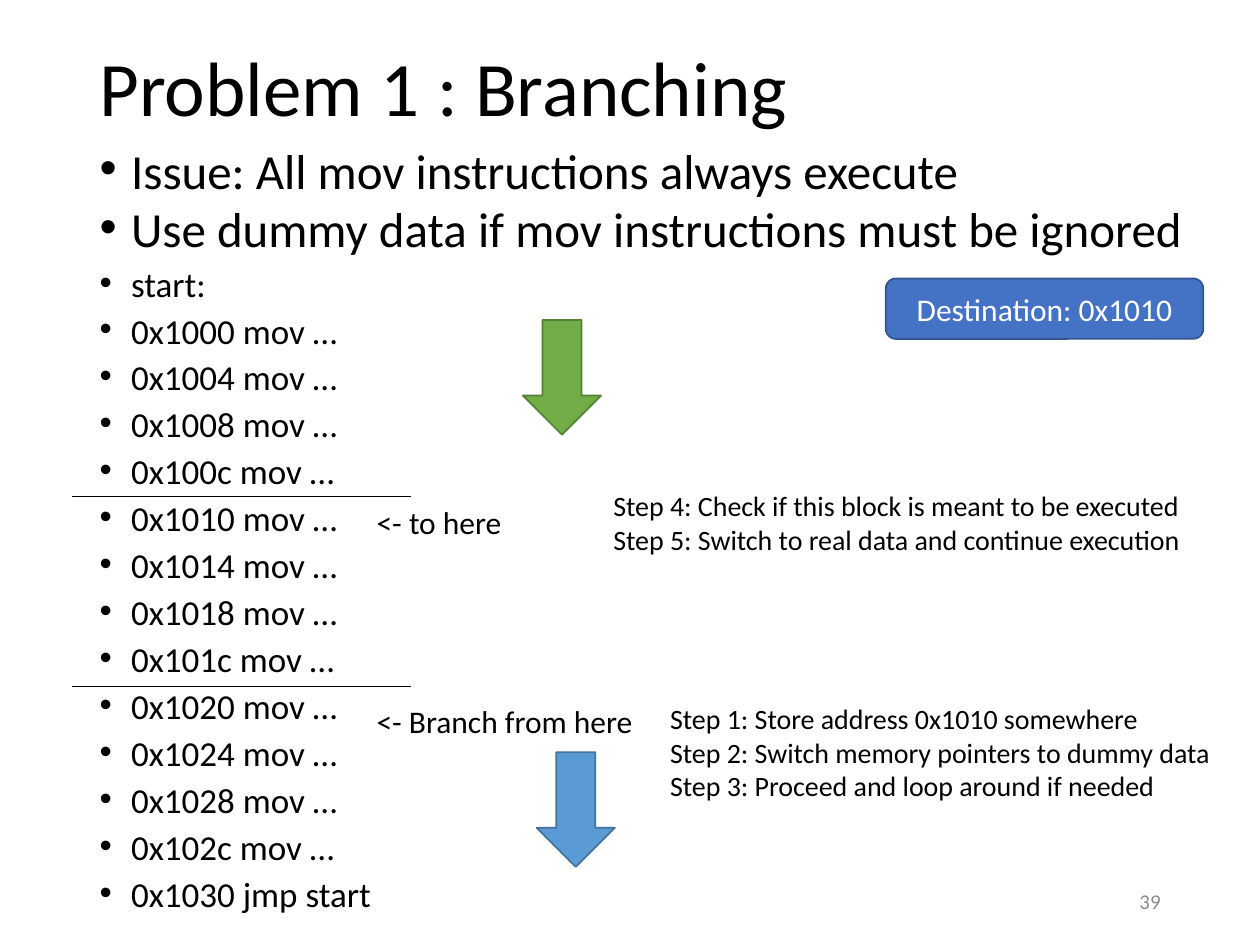
from pptx import Presentation
from pptx.dml.color import RGBColor
from pptx.enum.shapes import MSO_CONNECTOR, MSO_SHAPE
from pptx.enum.text import MSO_ANCHOR, MSO_AUTO_SIZE, PP_ALIGN
from pptx.oxml.ns import qn
from pptx.util import Inches, Pt
from lxml.etree import SubElement

FONT = "Calibri"
COLORS = {
    "text": "000000", "white": "FFFFFF", "number": "8C8C8C",
    "blue": "4472C4", "blue_edge": "325491",
    "sky": "5B9BD5", "sky_edge": "43739E",
    "green": "70AD47", "green_edge": "538035",
}


def color(name):
    return RGBColor.from_string(COLORS[name])


def place(shape, left, top, width, height):
    shape.left, shape.top = Inches(left), Inches(top)
    shape.width, shape.height = Inches(width), Inches(height)


def add_span(para, text, size, ink="text"):
    span = para.add_run()
    span.text = text
    span.font.name = FONT
    span.font.size = Pt(size)
    span.font.color.rgb = color(ink)


def add_lines(frame, lines, size, ink="text", align=PP_ALIGN.LEFT):
    for index, line in enumerate(lines):
        para = frame.add_paragraph() if index else frame.paragraphs[0]
        para.alignment = align
        add_span(para, line, size, ink)


def set_bullet(para):
    properties = para._p.get_or_add_pPr()
    properties.set("marL", str(Inches(0.25)))
    properties.set("indent", str(-Inches(0.25)))
    SubElement(properties, qn("a:buFont")).set("typeface", "Arial")
    SubElement(properties, qn("a:buChar")).set("char", "•")


def fill_title(page, text):
    title = page.shapes.title
    place(title, 0.69, 0, 8.62, 1.45)
    frame = title.text_frame
    frame.auto_size = MSO_AUTO_SIZE.NONE
    frame.vertical_anchor = MSO_ANCHOR.MIDDLE
    add_lines(frame, [text], 44)
    frame.paragraphs[0].line_spacing = 0.9


def fill_body(page, points, code):
    body = page.placeholders[1]
    place(body, 0.69, 1.19, 8.87, 6.04)
    frame = body.text_frame
    frame.auto_size = MSO_AUTO_SIZE.NONE
    sized = [(line, 28) for line in points] + [(line, 20) for line in code]
    for index, (line, size) in enumerate(sized):
        para = frame.add_paragraph() if index else frame.paragraphs[0]
        para.line_spacing = 0.7
        para.space_before = Pt(10)
        set_bullet(para)
        add_span(para, line, size)


def add_note(page, at, lines, size):
    box = page.shapes.add_textbox(*map(Inches, at))
    frame = box.text_frame
    frame.word_wrap = False
    frame.auto_size = MSO_AUTO_SIZE.SHAPE_TO_FIT_TEXT
    add_lines(frame, lines, size)


def add_filled(page, preset, at, fill):
    shape = page.shapes.add_shape(preset, *map(Inches, at))
    shape.shadow.inherit = False
    shape.fill.solid()
    shape.fill.fore_color.rgb = color(fill)
    shape.line.color.rgb = color(fill + "_edge")
    shape.line.width = Pt(1)
    return shape


def add_divider(page, top):
    line = page.shapes.add_connector(
        MSO_CONNECTOR.STRAIGHT, Inches(0.57), Inches(top), Inches(3.26), Inches(top))
    line.line.color.rgb = color("text")
    line.line.width = Pt(0.5)
    SubElement(line._element.spPr, qn("a:effectLst"))


def add_page_number(page, number):
    box = page.shapes.add_textbox(Inches(7.06), Inches(6.95), Inches(2.25), Inches(0.4))
    frame = box.text_frame
    frame.word_wrap = True
    frame.vertical_anchor = MSO_ANCHOR.MIDDLE
    add_lines(frame, [number], 12, "number", PP_ALIGN.RIGHT)


def main():
    deck = Presentation()
    deck.slide_width, deck.slide_height = Inches(10), Inches(7.5)
    page = deck.slides.add_slide(deck.slide_layouts[1])

    # Title and program listing
    fill_title(page, "Problem 1 : Branching")
    moves = [f"0x{address:x} mov …" for address in range(0x1000, 0x1030, 4)]
    fill_body(page,
              ["Issue: All mov instructions always execute",
               "Use dummy data if mov instructions must be ignored"],
              ["start:", *moves, "0x1030 jmp start"])

    # Branch labels
    add_note(page, (2.89, 5.52, 2.26, 0.4), ["<- Branch from here"], 18)
    add_note(page, (2.89, 3.94, 1.21, 0.4), ["<- to here"], 18)

    # Stored destination
    badge = add_filled(page, MSO_SHAPE.ROUNDED_RECTANGLE, (7.03, 2.21, 2.52, 0.48), "blue")
    badge.text_frame.vertical_anchor = MSO_ANCHOR.MIDDLE
    add_lines(badge.text_frame, ["Destination: 0x1010"], 18, "white", PP_ALIGN.CENTER)

    # Steps and flow arrows
    add_note(page, (5.22, 5.52, 4.59, 0.91),
             ["Step 1: Store address 0x1010 somewhere",
              "Step 2: Switch memory pointers to dummy data",
              "Step 3: Proceed and loop around if needed"], 16)
    add_filled(page, MSO_SHAPE.DOWN_ARROW, (4.26, 5.97, 0.62, 0.91), "sky")
    add_filled(page, MSO_SHAPE.DOWN_ARROW, (4.15, 2.54, 0.62, 0.91), "green")
    add_note(page, (4.77, 3.83, 4.76, 0.64),
             ["Step 4: Check if this block is meant to be executed",
              "Step 5: Switch to real data and continue execution"], 16)

    # Block boundaries
    for top in (3.94, 5.45):
        add_divider(page, top)

    add_page_number(page, "39")
    deck.save("out.pptx")


if __name__ == "__main__":
    main()
